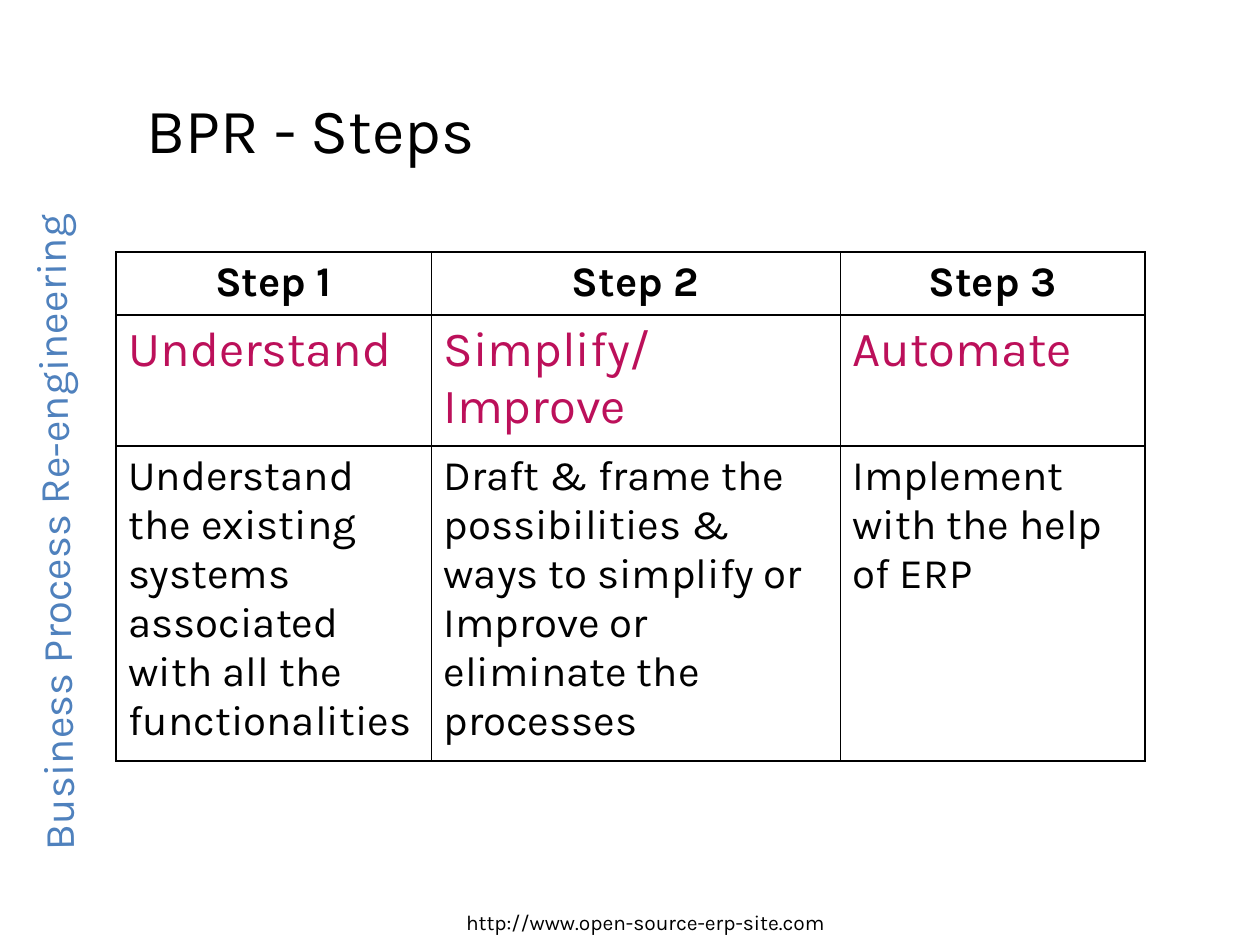
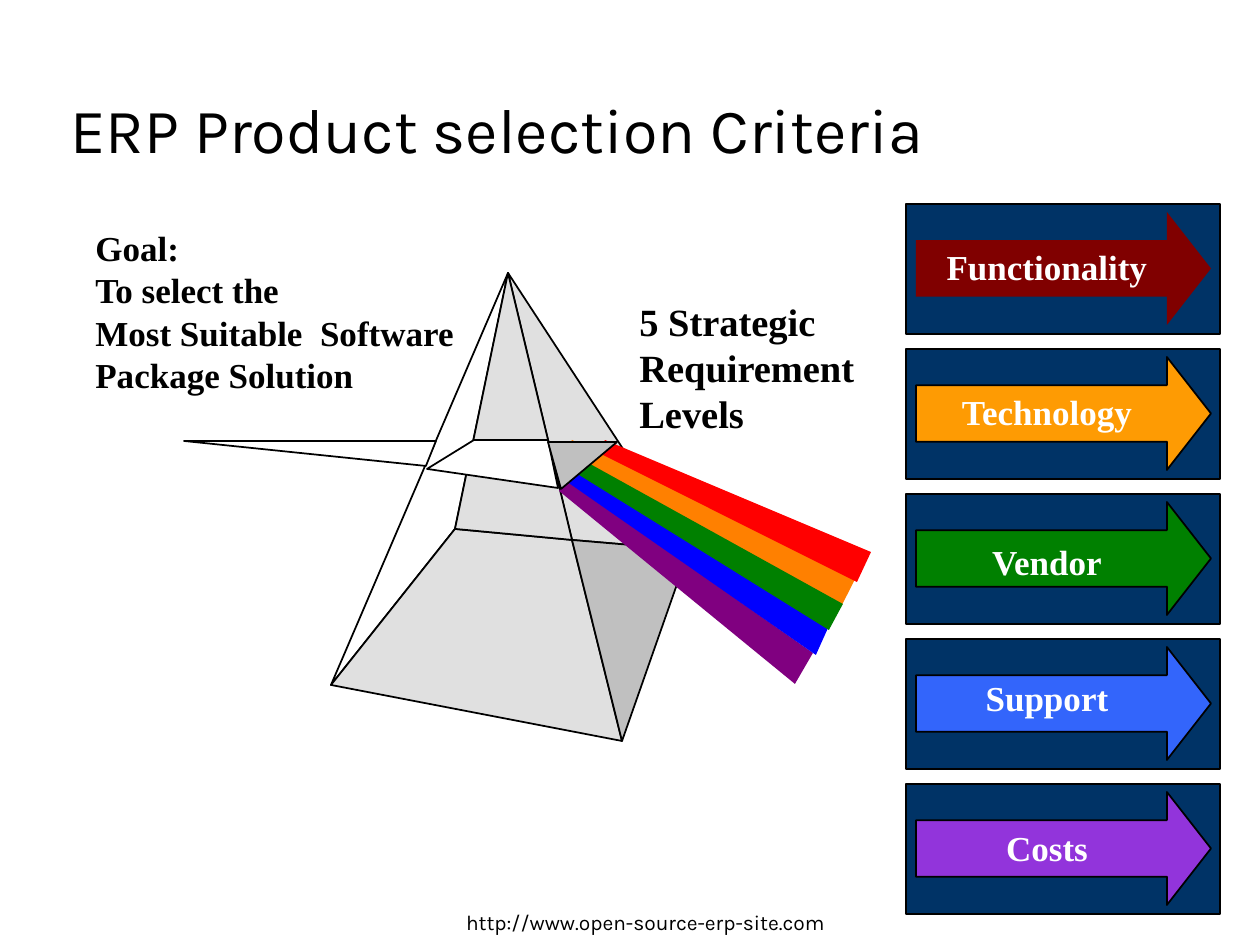
"""Build two ERP slides: the re-engineering steps and the product selection criteria."""
from lxml.etree import SubElement
from pptx import Presentation
from pptx.dml.color import RGBColor
from pptx.enum.shapes import MSO_SHAPE as Preset
from pptx.enum.text import MSO_ANCHOR as Anchor, MSO_AUTO_SIZE as Fit, PP_ALIGN as Align
from pptx.oxml.ns import qn
from pptx.util import Emu, Pt

SCALE = 914400 / 126


class Theme:
    sans, serif = "Karla", "Times New Roman"
    black, white, navy = "000000", "FFFFFF", "003366"
    pale, grey, blue, pink = "E0E0E0", "C0C0C0", "4F81BD", "BC105A"
    thin, thick, outline = 0.45, 1.08, 0.99
    title = {"name": sans, "size": Pt(36), "color": black}
    side = {"name": sans, "size": Pt(24), "color": blue}
    footer = {"name": sans, "size": Pt(12), "color": black}
    head = {"name": sans, "size": Pt(24), "color": black, "bold": True}
    stage = {"name": sans, "size": Pt(28), "color": pink}
    detail = {"name": sans, "size": Pt(24), "color": black}
    goal = {"name": serif, "size": Pt(20), "color": black, "bold": True}
    levels = {"name": serif, "size": Pt(22), "color": black, "bold": True}
    label = {"name": serif, "size": Pt(20), "color": white, "bold": True}


FOOTER = "http://www.open-source-erp-site.com"
FOOTER_BOX = (357, 903, 577, 38)

STEPS_TITLE = ("BPR - Steps", (134, 84, 358, 88))
SIDE_TEXT = ("Business Process Re-engineering", (-285, 493, 677, 63), 269.2)
STEPS_AT = (116, 252)
STEP_COLUMNS = (315, 409, 305)
STEP_ROWS = [
    (63, Theme.head, {"alignment": Align.CENTER, "space_before": Pt(6)},
     ("Step 1", "Step 2", "Step 3")),
    (131, Theme.stage, {"space_before": Pt(7)},
     ("Understand", "Simplify/Improve", "Automate")),
    (315, Theme.detail, {"space_before": Pt(6)},
     ("Understand the existing systems associated with all the functionalities",
      "Draft & frame the possibilities & ways to simplify or Improve or eliminate the processes",
      "Implement with the help of ERP")),
]

CRITERIA_TITLE = ("ERP Product selection Criteria", (58, 84, 901, 88))
GOAL = (("Goal:", "To select the", "Most Suitable  Software", "Package Solution"),
        (83, 220, 393, 183))
LEVELS = (("5 Strategic", "Requirement", "Levels"), (627, 292, 241, 151))
APEX, BACK, LEFT, FRONT, RIGHT = (508, 273), (455, 529), (331, 685), (622, 741), (689, 550)
MIDDLE = (572, 540)
PYRAMID = [
    (Theme.pale, (APEX, MIDDLE, RIGHT)),
    (Theme.white, (APEX, BACK, LEFT)),
    (Theme.pale, (FRONT, LEFT, BACK, MIDDLE)),
    (Theme.grey, (RIGHT, MIDDLE, FRONT)),
    (Theme.pale, (APEX, BACK, MIDDLE)),
]
LIGHT = [
    (Theme.white, ((436, 441), (426, 466), (184, 441))),
    (Theme.white, ((427, 469), (474, 440), (548, 440), (558, 488))),
]
RAYS = [
    ("800080", ((813, 653), (795, 684), (559, 491), (567, 480))),
    ("0000FF", ((829, 626), (816, 655), (563, 479), (571, 465))),
    ("FF8000", ((564, 454), (842, 605), (857, 575), (572, 440))),
    ("FF0000", ((857, 582), (597, 452), (605, 440), (871, 552))),
    ("008000", ((843, 604), (829, 630), (576, 473), (583, 460))),
]
EXIT_FACE = (Theme.grey, ((548, 442), (617, 442), (561, 489)))
PANEL_BOX, PANEL_PITCH = (906, 204, 314, 130), 145
ARROW_INSET, ARROW_SIZE = (10, 8), (295, 113)
LABEL_CENTER, LABEL_HEIGHT = 1047, 54
CRITERIA = [
    ("Functionality", "800000", None, 227, 35),
    ("Technology", "FE9B03", Theme.black, 199, 35),
    ("Vendor", "008000", Theme.black, 139, 40),
    ("Support", "3365FB", Theme.black, 149, 31),
    ("Costs", "9234DB", Theme.black, 107, 36),
]


def emu(pixels):
    """Turn pixels into EMU."""
    return Emu(round(pixels * SCALE))


def apply(target, values):
    """Set each named attribute on the target."""
    for name, value in values.items():
        setattr(target, name, value)


def place(shape, box):
    """Move and size a shape to a pixel box."""
    apply(shape, dict(zip(("left", "top", "width", "height"), map(emu, box))))


def write(frame, lines, style, layout=None):
    """Write one formatted paragraph per line."""
    for index, line in enumerate(lines):
        para = frame.add_paragraph() if index else frame.paragraphs[0]
        apply(para, layout or {})
        span = para.add_run()
        span.text = line
        apply(span.font, {name: value for name, value in style.items() if name != "color"})
        span.font.color.rgb = RGBColor.from_string(style["color"])


def add_text(page, lines, box, style, layout=None, wrap=False):
    """Add a text box that grows with its lines."""
    shape = page.shapes.add_textbox(*map(emu, box))
    apply(shape.text_frame, {"word_wrap": wrap, "auto_size": Fit.SHAPE_TO_FIT_TEXT})
    write(shape.text_frame, lines, style, layout)
    return shape


def add_page(deck, title, box):
    """Add a slide with the shared title style and footer."""
    page = deck.slides.add_slide(deck.slide_layouts[5])
    heading = page.shapes.title
    place(heading, box)
    apply(heading.text_frame, {"word_wrap": False, "vertical_anchor": Anchor.TOP,
                               "auto_size": Fit.SHAPE_TO_FIT_TEXT})
    write(heading.text_frame, [title], Theme.title, {"alignment": Align.LEFT})
    add_text(page, [FOOTER], FOOTER_BOX, Theme.footer, {"alignment": Align.CENTER}, True)
    return page


def paint(shape, fill, line=None):
    """Give a shape a flat fill and an optional outline."""
    shape.shadow.inherit = False
    shape.fill.solid()
    shape.fill.fore_color.rgb = RGBColor.from_string(fill)
    if line:
        shape.line.color.rgb = RGBColor.from_string(line)
        shape.line.width = Pt(Theme.outline)
    else:
        shape.line.fill.background()


def add_preset(page, preset, box, fill, line):
    """Add a painted preset shape."""
    shape = page.shapes.add_shape(preset, *map(emu, box))
    paint(shape, fill, line)
    return shape


def add_facets(shapes, facets, line=None):
    """Draw closed polygons from their fills and corner points."""
    for fill, corners in facets:
        outline = shapes.build_freeform(*corners[0], scale=SCALE)
        outline.add_line_segments(corners[1:], close=True)
        paint(outline.convert_to_shape(), fill, line)


def add_borders(cell, widths):
    """Draw the four borders of a cell in the given point widths."""
    properties = cell._tc.get_or_add_tcPr()
    for side, width in zip("LRTB", widths):
        border = SubElement(properties, qn(f"a:ln{side}"), w=str(Pt(width)))
        fill = SubElement(border, qn("a:solidFill"))
        SubElement(fill, qn("a:srgbClr"), val=Theme.black)


def add_steps(page):
    """Add the table of steps."""
    heights = [row[0] for row in STEP_ROWS]
    box = (*STEPS_AT, sum(STEP_COLUMNS), sum(heights))
    table = page.shapes.add_table(len(heights), len(STEP_COLUMNS), *map(emu, box)).table
    apply(table, {"first_row": False, "horz_banding": False})
    for column, width in zip(table.columns, STEP_COLUMNS):
        column.width = emu(width)
    last = len(STEP_COLUMNS) - 1
    for row, (height, style, layout, texts) in zip(table.rows, STEP_ROWS):
        row.height = emu(height)
        for index, (cell, text) in enumerate(zip(row.cells, texts)):
            left = Theme.thin if index else Theme.thick
            right = Theme.thin if index < last else Theme.thick
            add_borders(cell, (left, right, Theme.thick, Theme.thick))
            cell.fill.background()
            write(cell.text_frame, [text], style, layout)


def add_criteria(page):
    """Stack the criterion panels, each with its arrow and label."""
    left, top, width, height = PANEL_BOX
    for index, (name, color, line, label_width, drop) in enumerate(CRITERIA):
        y = top + index * PANEL_PITCH
        add_preset(page, Preset.RECTANGLE, (left, y, width, height), Theme.navy, Theme.black)
        arrow_box = (left + ARROW_INSET[0], y + ARROW_INSET[1], *ARROW_SIZE)
        arrow = add_preset(page, Preset.RIGHT_ARROW, arrow_box, color, line)
        arrow.adjustments[1] = 0.39
        label_box = (LABEL_CENTER - label_width / 2, y + drop, label_width, LABEL_HEIGHT)
        add_text(page, [name], label_box, Theme.label, {"alignment": Align.CENTER})


def build():
    """Build and save the deck."""
    deck = Presentation()
    apply(deck, {"slide_width": emu(1260), "slide_height": emu(945)})

    steps = add_page(deck, *STEPS_TITLE)
    add_steps(steps)
    text, box, angle = SIDE_TEXT
    add_text(steps, [text], box, Theme.side).rotation = angle

    criteria = add_page(deck, *CRITERIA_TITLE)
    add_facets(criteria.shapes.add_group_shape().shapes, PYRAMID, Theme.black)
    add_facets(criteria.shapes, LIGHT, Theme.black)
    add_facets(criteria.shapes, RAYS)
    add_facets(criteria.shapes, [EXIT_FACE], Theme.black)
    add_criteria(criteria)
    add_text(criteria, *LEVELS, Theme.levels)
    add_text(criteria, *GOAL, Theme.goal, {"space_before": Pt(0.3)})

    deck.save("out.pptx")


build()
